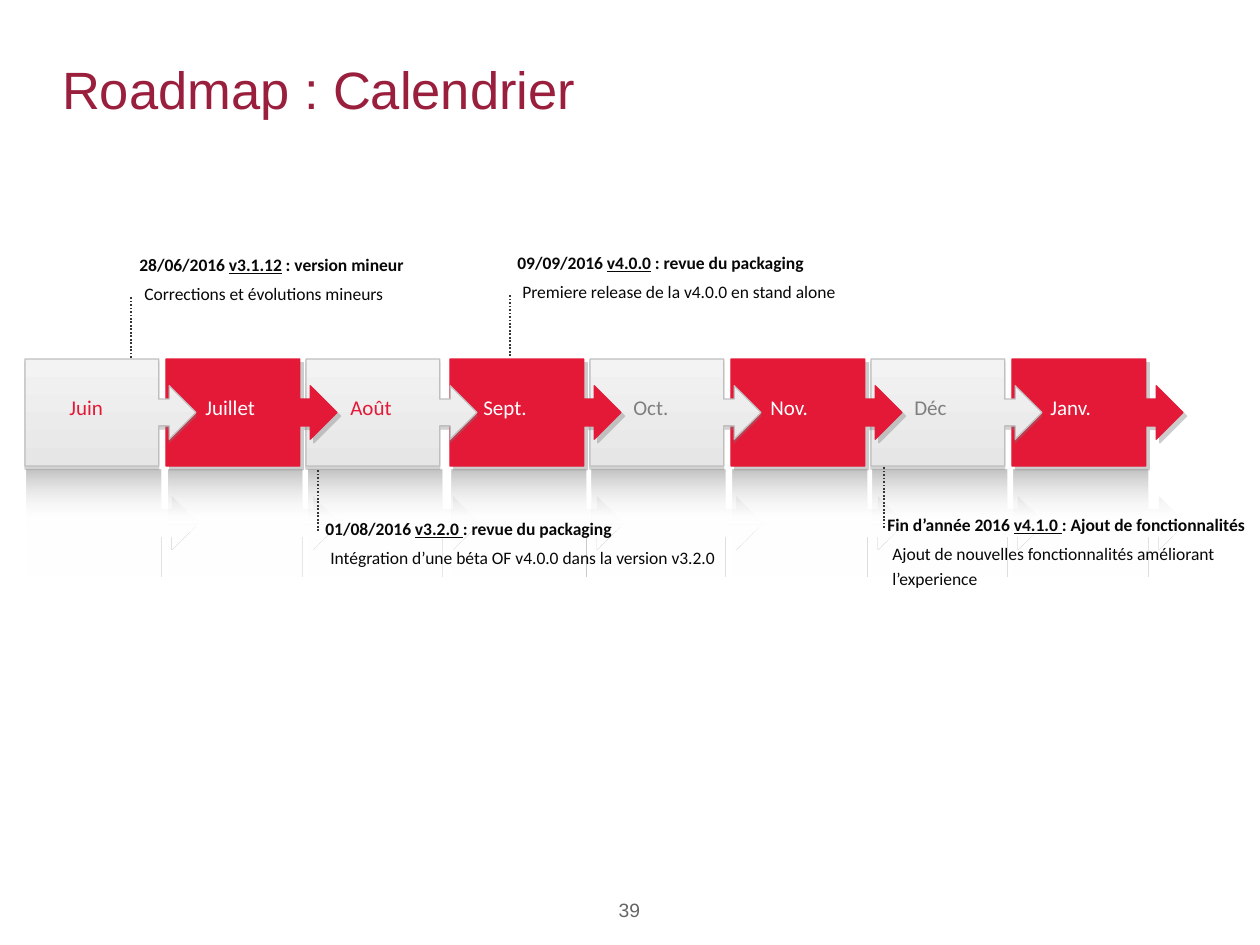
import pptx
import pptx.util
import pptx.dml.color
import pptx.enum.dml
import pptx.enum.shapes
import pptx.enum.text
import pptx.oxml
import pptx.oxml.ns

PX = 914400 // 126
RED, WHITE, GREY, INK = "E31937", "FFFFFF", "7F7F7F", "080808"
SILVER_STOPS = [(0, "F3F3F3", 100), (100, "E6E6E6", 100)]
REFLECTION_STOPS = [(0, "020000", 24), (51, WHITE, 0), (60, WHITE, 100)]

MONTHS = [
    ("Juin", 25, 57, 76, RED),
    ("Juillet", 166, 193, 96, WHITE),
    ("Août", 306, 338, 86, RED),
    ("Sept.", 450, 471, 88, WHITE),
    ("Oct.", 590, 621, 78, GREY),
    ("Nov.", 731, 758, 81, WHITE),
    ("Déc", 871, 902, 74, GREY),
    ("Janv.", 1012, 1038, 84, WHITE),
]
MILESTONES = [
    (127, 248, 131, 296, ["28/06/2016 ", "v3.1.12", " : version mineur"],
     ["Corrections et évolutions mineurs"]),
    (313, 512, 318, 469, ["01/08/2016 ", "v3.2.0 ", ": revue du packaging"],
     ["Intégration d’une béta OF v4.0.0 dans la version v3.2.0 "]),
    (505, 246, 510, 294, ["09/09/2016 ", "v4.0.0", " : revue du packaging"],
     ["Premiere release de la v4.0.0 en stand alone"]),
    (875, 508, 884, 466, ["Fin d’année 2016 ", "v4.1.0 ", ": Ajout de fonctionnalités"],
     ["Ajout de nouvelles fonctionnalités améliorant", "l’experience"]),
]
CALLOUT_TOP, CALLOUT_WIDTH, CALLOUT_HEIGHT = 359, 171, 107
REFLECTION_SHIFT, REFLECTION_TOP = 2, 470


def px(*lengths):
    return [pptx.util.Emu(length * PX) for length in lengths]


def rgb(code):
    return pptx.dml.color.RGBColor.from_string(code)


def drawing(tag, body="", attributes=""):
    return pptx.oxml.parse_xml(
        f'<a:{tag} {pptx.oxml.ns.nsdecls("a")} {attributes}>{body}</a:{tag}>')


def colour_xml(code, alpha):
    return f'<a:srgbClr val="{code}"><a:alpha val="{alpha * 1000}"/></a:srgbClr>'


def style(run, size, colour, font="Calibri", bold=False, underline=False):
    run.font.size = pptx.util.Pt(size)
    run.font.name = font
    run.font.color.rgb = rgb(colour)
    run.font.bold = bold
    run.font.underline = underline


def add_text(box, wrap=True):
    label = slide.shapes.add_textbox(*px(*box)).text_frame
    label.word_wrap = wrap
    label.auto_size = pptx.enum.text.MSO_AUTO_SIZE.SHAPE_TO_FIT_TEXT
    return label


def no_margins(frame):
    frame.margin_left = frame.margin_right = frame.margin_top = frame.margin_bottom = 0


def add_callout(left, top, stops=None, outline=None, shadow=None):
    callout = slide.shapes.add_shape(
        pptx.enum.shapes.MSO_SHAPE.RIGHT_ARROW_CALLOUT,
        *px(left, top, CALLOUT_WIDTH, CALLOUT_HEIGHT))
    for position, value in enumerate((0.25, 0.25, 0.25, 0.782)):
        callout.adjustments[position] = value
    callout.shadow.inherit = False
    if outline:
        callout.line.color.rgb = rgb(outline)
        callout.line.width = pptx.util.Pt(0.75)
    else:
        callout.line.fill.background()
    if stops:
        gradient = "".join(f'<a:gs pos="{place * 1000}">{colour_xml(code, alpha)}</a:gs>'
                           for place, code, alpha in stops)
        callout._element.spPr.find(pptx.oxml.ns.qn("a:prstGeom")).addnext(drawing(
            "gradFill", f'<a:gsLst>{gradient}</a:gsLst><a:lin ang="5400000" scaled="0"/>'))
    else:
        callout.fill.solid()
        callout.fill.fore_color.rgb = rgb(RED)
    if shadow:
        alpha, distance, angle = shadow
        effects = callout._element.spPr.find(pptx.oxml.ns.qn("a:effectLst"))
        effects.append(drawing(
            "outerShdw", colour_xml("808080", alpha),
            f'blurRad="0" dist="{int(distance * 12700)}" dir="{angle * 60000}" '
            'algn="tl" rotWithShape="0"'))


def add_milestone(left, top, line_x, line_top, heading, details):
    title_line = add_text((left, top, 428, 35)).paragraphs[0]
    title_line.space_before = pptx.util.Pt(2)
    for position, words in enumerate(heading):
        run = title_line.add_run()
        run.text = words
        style(run, 10, INK, bold=True, underline=position == 1)
    detail = add_text((left + 5, top + 29, 471, 35 if len(details) == 1 else 62))
    detail.text = "\n".join(details)
    for paragraph in detail.paragraphs:
        paragraph.space_before = pptx.util.Pt(2)
        style(paragraph.runs[0], 10, INK)
    marker = slide.shapes.add_connector(
        pptx.enum.shapes.MSO_CONNECTOR.STRAIGHT, *px(line_x, line_top + 62, line_x, line_top))
    marker.line.color.rgb = rgb("353637")
    marker.line.width = pptx.util.Pt(1)
    marker.line.dash_style = pptx.enum.dml.MSO_LINE.ROUND_DOT
    marker._element.spPr.append(drawing("effectLst"))


deck = pptx.Presentation()
deck.slide_width, deck.slide_height = px(1260, 945)
slide = deck.slides.add_slide(deck.slide_layouts[5])

heading = slide.shapes.title
heading.left, heading.top, heading.width, heading.height = px(62, 25, 1135, 127)
heading.text_frame.text = "Roadmap : Calendrier"
heading.text_frame.vertical_anchor = pptx.enum.text.MSO_ANCHOR.MIDDLE
no_margins(heading.text_frame)
heading.text_frame.paragraphs[0].alignment = pptx.enum.text.PP_ALIGN.LEFT
style(heading.text_frame.paragraphs[0].runs[0], 30, "991F3D", "Arial")

page_number = add_text((576, 898, 107, 33), wrap=False)
page_number.text = "39"
no_margins(page_number)
page_number.paragraphs[0].alignment = pptx.enum.text.PP_ALIGN.CENTER
style(page_number.paragraphs[0].runs[0], 11, "666666", "Arial")

for month, left, *rest in reversed(MONTHS):
    add_callout(left + REFLECTION_SHIFT, REFLECTION_TOP, REFLECTION_STOPS)

for month, left, label_left, label_width, colour in reversed(MONTHS):
    if colour == WHITE:
        add_callout(left, CALLOUT_TOP, outline=RED, shadow=(40, 3, 45))
    else:
        add_callout(left, CALLOUT_TOP, SILVER_STOPS, "BFBFBF", (35, 1.8, 90))

for month, left, label_left, label_width, colour in reversed(MONTHS):
    month_label = add_text((label_left, 388, label_width, 48), wrap=False)
    month_label.text = month
    style(month_label.paragraphs[0].runs[0], 12, colour)

for milestone in MILESTONES:
    add_milestone(*milestone)

deck.save("out.pptx")
